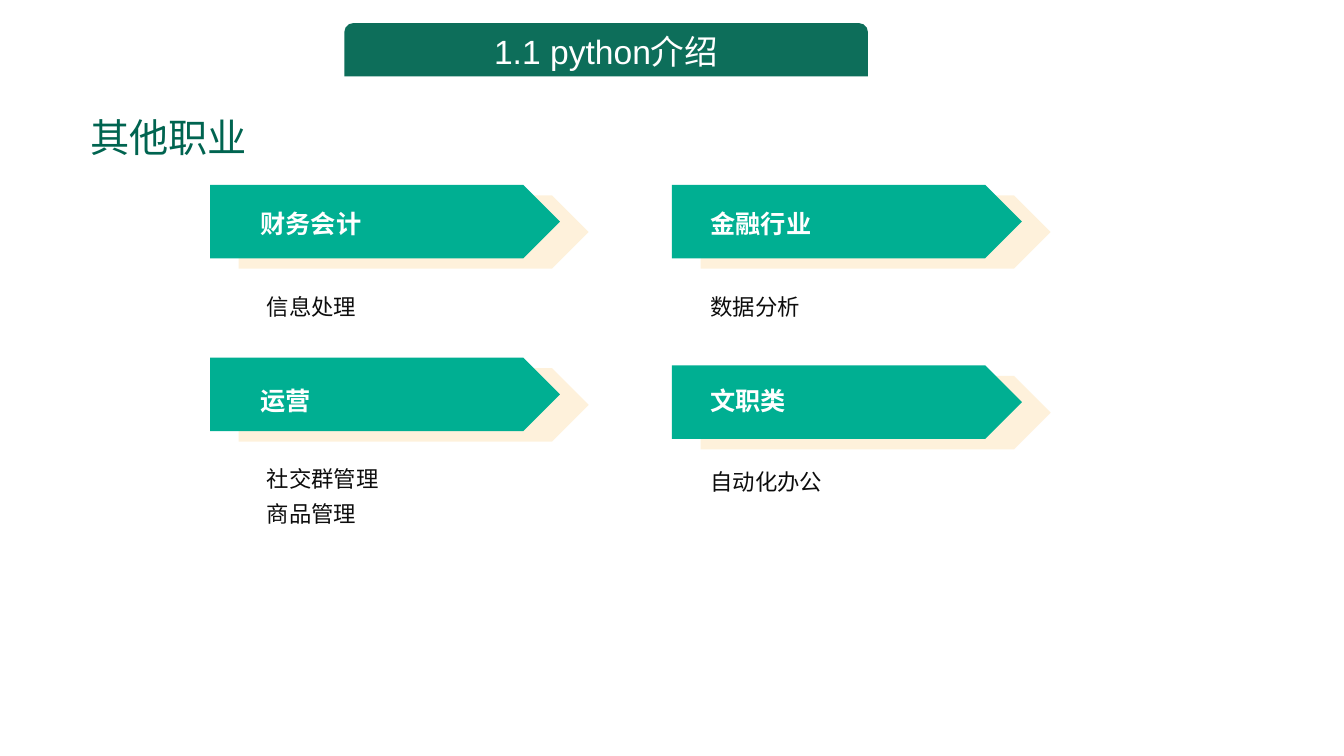
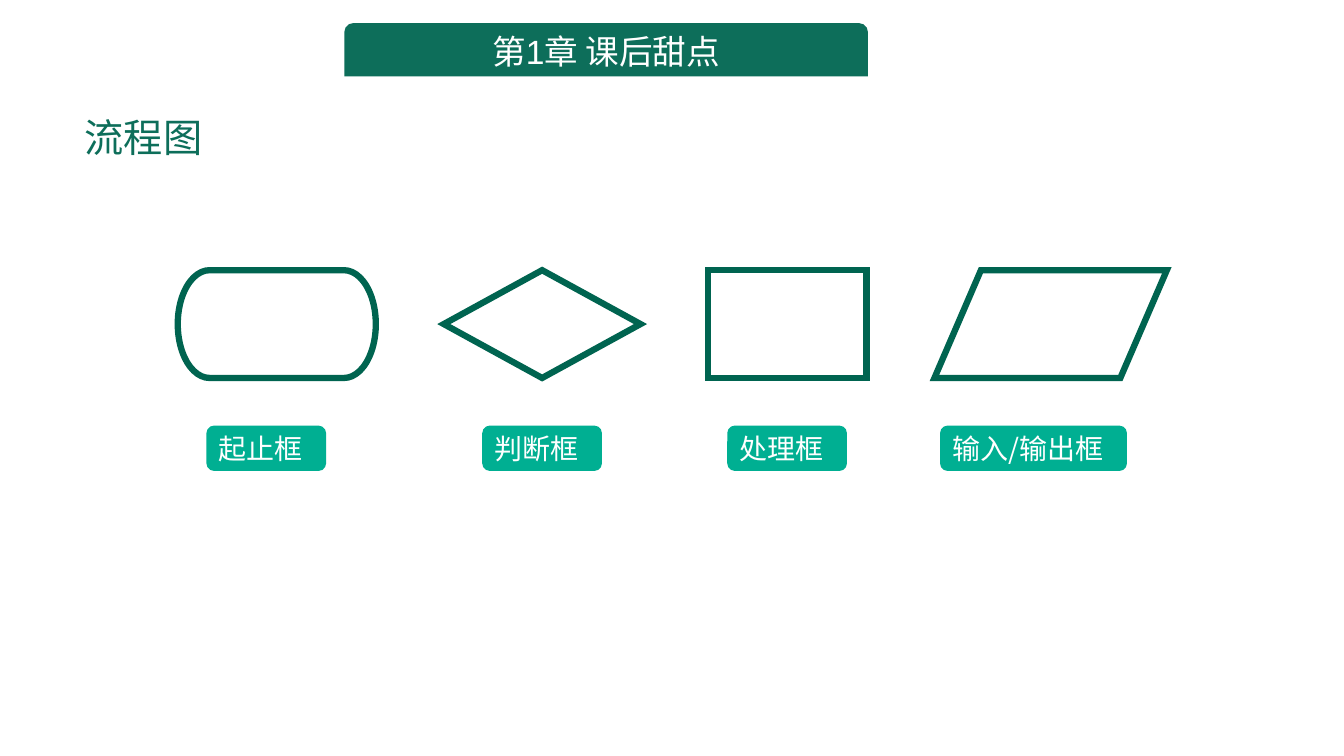
from dataclasses import dataclass

from lxml import etree
from pptx import Presentation
from pptx.dml.color import RGBColor
from pptx.enum.shapes import MSO_SHAPE
from pptx.enum.text import MSO_ANCHOR, PP_ALIGN
from pptx.oxml.ns import qn
from pptx.util import Pt

# Enum members
PENTAGON = MSO_SHAPE.PENTAGON
ROUNDED = MSO_SHAPE.ROUNDED_RECTANGLE
BANNER = MSO_SHAPE.ROUND_2_SAME_RECTANGLE
RECTANGLE = MSO_SHAPE.RECTANGLE
TERMINATOR = MSO_SHAPE.FLOWCHART_TERMINATOR
DECISION = MSO_SHAPE.FLOWCHART_DECISION
DATA = MSO_SHAPE.FLOWCHART_DATA
MIDDLE = MSO_ANCHOR.MIDDLE
LEFT, CENTER = PP_ALIGN.LEFT, PP_ALIGN.CENTER

# Shared colours and fonts
DARK_GREEN = RGBColor(0x00, 0x64, 0x50)
BANNER_GREEN = RGBColor(0x0D, 0x6E, 0x5A)
TEAL = RGBColor(0x00, 0xAF, 0x92)
ORANGE = RGBColor(0xFD, 0xA0, 0x07)
INK = RGBColor(0x0D, 0x0D, 0x0D)
WHITE = RGBColor(0xFF, 0xFF, 0xFF)
LATIN_FONT = "Arial"
CHINESE_FONT = "Noto Sans CJK SC"

# Shared measures, in points
ARROW_WIDTH, ARROW_HEIGHT = 250, 52.5
SHADE_RIGHT, SHADE_DOWN = 20.5, 7.5
SYMBOL_TOP, SYMBOL_HEIGHT = 193, 77
LABEL_TOP, LABEL_HEIGHT = 304, 32.4


@dataclass(frozen=True)
class Career:
    name: str
    tasks: tuple[str, ...]
    arrow_left: float
    arrow_top: float
    name_left: float
    name_top: float
    tasks_left: float
    tasks_top: float


@dataclass(frozen=True)
class Symbol:
    label: str
    kind: MSO_SHAPE
    left: float
    width: float
    label_left: float
    label_width: float = 85.5


CAREERS = (
    Career("财务会计", ("信息处理",), 150, 132, 179, 145, 183.5, 206),
    Career("金融行业", ("数据分析",), 480, 132, 500.5, 145, 500.5, 206),
    Career("运营", ("社交群管理", "商品管理"), 150, 255.5, 179, 271.5, 183.5, 328.5),
    Career("文职类", ("自动化办公",), 480, 261, 500.5, 271.5, 500.5, 330.5),
)

SYMBOLS = (
    Symbol("起止框", TERMINATOR, 127, 141.5, 147.5),
    Symbol("判断框", DECISION, 317, 140.5, 344.5),
    Symbol("处理框", RECTANGLE, 505.5, 113.5, 519.5),
    Symbol("输入/输出框", DATA, 667.5, 166, 671.5, 133.5),
)


def write(box, *lines: str, size: float, color: RGBColor, font: str = CHINESE_FONT,
          bold: bool = False, align: PP_ALIGN = LEFT, gap: float = 0,
          spacing: float = 1.0, wrap: bool = True) -> None:
    """Fill a box with one paragraph per line."""
    frame = box.text_frame
    frame.word_wrap = wrap
    frame.vertical_anchor = MIDDLE
    frame.margin_top = frame.margin_bottom = Pt(0)
    for index, line in enumerate(lines):
        para = frame.add_paragraph() if index else frame.paragraphs[0]
        para.alignment = align
        para.line_spacing = spacing
        if index:
            para.space_before = Pt(gap)
        span = para.add_run()
        span.text = line
        span.font.size = Pt(size)
        span.font.bold = bold
        span.font.color.rgb = color
        span.font.name = font
        east_asian = etree.SubElement(span.font._element, qn("a:ea"))
        east_asian.set("typeface", CHINESE_FONT)


def add_box(page, left: float, top: float, width: float, height: float):
    return page.shapes.add_textbox(Pt(left), Pt(top), Pt(width), Pt(height))


def add_filled(page, kind: MSO_SHAPE, left: float, top: float, width: float,
               height: float, fill: RGBColor, opacity: int = 100):
    shape = page.shapes.add_shape(kind, Pt(left), Pt(top), Pt(width), Pt(height))
    shape.shadow.inherit = False
    shape.fill.solid()
    shape.fill.fore_color.rgb = fill
    shape.line.fill.background()
    if opacity < 100:
        color = shape._element.spPr.find(qn("a:solidFill")).find(qn("a:srgbClr"))
        etree.SubElement(color, qn("a:alpha")).set("val", str(opacity * 1000))
    return shape


def add_page(deck, banner: str, heading: str, heading_left: float,
             heading_color: RGBColor):
    """Add a blank page with the banner and heading that all pages share."""
    page = deck.slides.add_slide(deck.slide_layouts[6])
    band = add_filled(page, BANNER, 246, 16.5, 374, 38, BANNER_GREEN)
    write(band, banner, size=24, color=WHITE, font=LATIN_FONT, align=CENTER)
    title = add_box(page, heading_left, 76.5, 404, 42.5)
    write(title, heading, size=28, color=heading_color, spacing=1.02)
    return page


def add_career(page, career: Career) -> None:
    # Pale arrow behind, solid arrow in front
    add_filled(page, PENTAGON, career.arrow_left + SHADE_RIGHT,
               career.arrow_top + SHADE_DOWN, ARROW_WIDTH, ARROW_HEIGHT,
               ORANGE, opacity=14)
    add_filled(page, PENTAGON, career.arrow_left, career.arrow_top,
               ARROW_WIDTH, ARROW_HEIGHT, TEAL)

    # Name and tasks
    name = add_box(page, career.name_left, career.name_top, 122.5, 29)
    write(name, career.name, size=18, color=WHITE, bold=True)
    tasks_height = 26.5 + 25.3 * (len(career.tasks) - 1)
    tasks = add_box(page, career.tasks_left, career.tasks_top, 176.5, tasks_height)
    write(tasks, *career.tasks, size=16, color=INK, gap=6)


def add_symbol(page, symbol: Symbol) -> None:
    # Outlined flowchart symbol with sharp corners
    outline = page.shapes.add_shape(symbol.kind, Pt(symbol.left), Pt(SYMBOL_TOP),
                                    Pt(symbol.width), Pt(SYMBOL_HEIGHT))
    outline.shadow.inherit = False
    outline.fill.background()
    outline.line.color.rgb = DARK_GREEN
    outline.line.width = Pt(4.5)
    line = outline._element.spPr.find(qn("a:ln"))
    etree.SubElement(line, qn("a:miter")).set("lim", "800000")

    # Label below
    label = add_filled(page, ROUNDED, symbol.label_left, LABEL_TOP,
                       symbol.label_width, LABEL_HEIGHT, TEAL)
    write(label, symbol.label, size=20, color=WHITE, spacing=1.02, wrap=False)


def main() -> None:
    deck = Presentation()
    deck.slide_width, deck.slide_height = Pt(960), Pt(540)

    # Careers
    page = add_page(deck, "1.1 python介绍", "其他职业", 57.5, DARK_GREEN)
    for career in CAREERS:
        add_career(page, career)

    # Flowchart symbols
    page = add_page(deck, "第1章 课后甜点", "流程图", 53.5, BANNER_GREEN)
    for symbol in SYMBOLS:
        add_symbol(page, symbol)

    deck.save("out.pptx")


if __name__ == "__main__":
    main()
